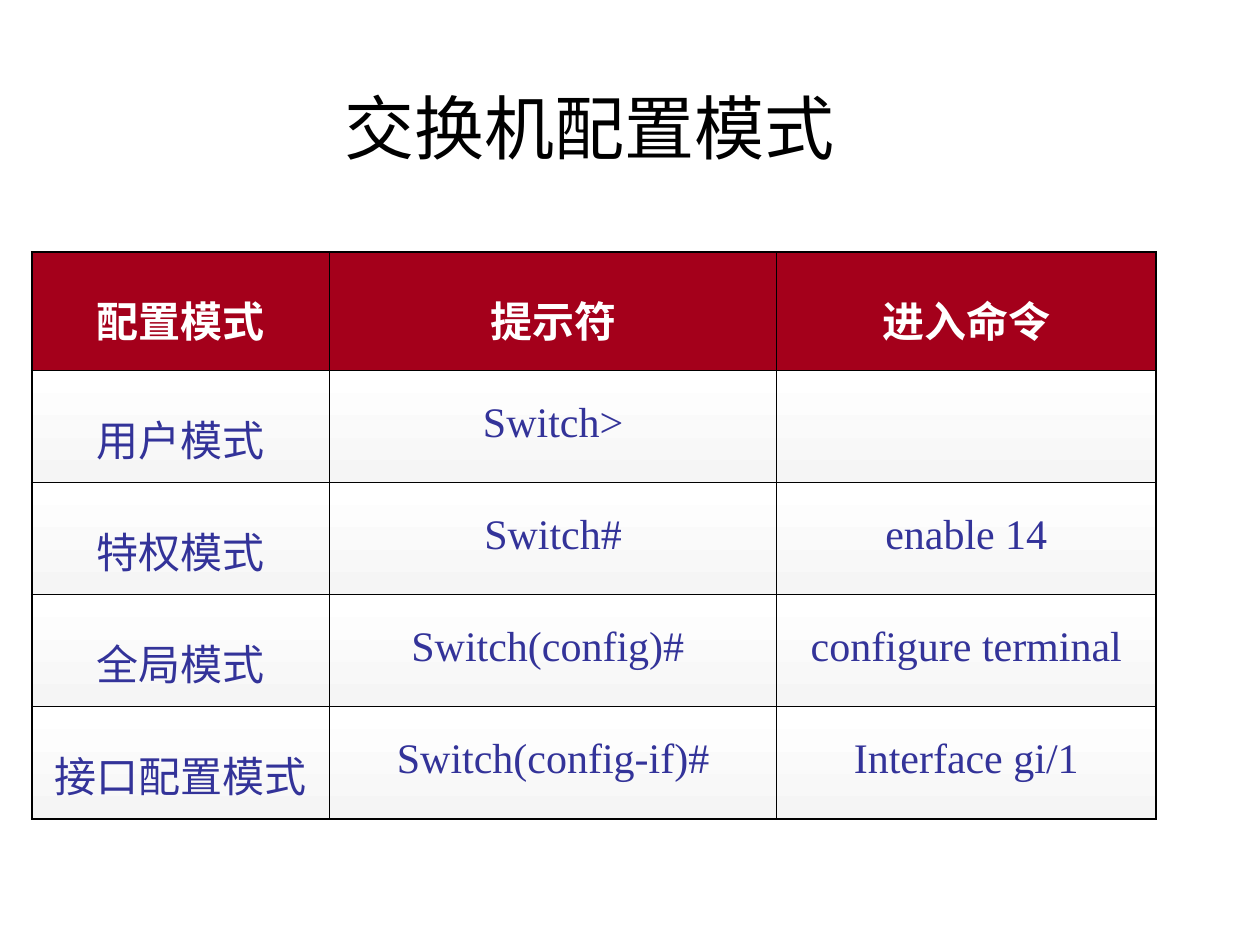
from dataclasses import dataclass

import lxml.etree
import pptx
import pptx.dml.color
import pptx.enum.text
import pptx.oxml.ns
import pptx.util

Cm = pptx.util.Cm
Pt = pptx.util.Pt
Color = pptx.dml.color.RGBColor
qn = pptx.oxml.ns.qn

BLACK = Color(0x00, 0x00, 0x00)
WHITE = Color(0xFF, 0xFF, 0xFF)
RED = Color(0xA4, 0x00, 0x1B)
BLUE = Color(0x33, 0x33, 0x99)
GRAY = Color(0xF5, 0xF5, 0xF5)
THIN, THICK = Pt(0.45), Pt(1.08)


@dataclass
class Mode:
    name: str
    prompt: str
    command: str

    def texts(self) -> list[str]:
        return [self.name, self.prompt, self.command]


HEAD = Mode("配置模式", "提示符", "进入命令")
MODES = [
    Mode("用户模式", "Switch>", ""),
    Mode("特权模式", "Switch#", "enable 14"),
    Mode("全局模式", "Switch(config)# ", "configure terminal"),
    Mode("接口配置模式", "Switch(config-if)#", "Interface gi/1"),
]
WIDTHS = [Cm(6), Cm(9.02), Cm(7.64)]
HEIGHTS = [Cm(2.39)] + [Cm(2.26)] * len(MODES)


def write(frame, text: str, *, size: float, face: str, color: Color,
          bold: bool = False, lines: float = 1.0, before: float = 0) -> None:
    para = frame.paragraphs[0]
    para.alignment = pptx.enum.text.PP_ALIGN.CENTER
    para.line_spacing = lines
    para.space_before = Pt(before)
    if text:
        run = para.add_run()
        run.text = text
        font = run.font
        font.size, font.name, font.bold = Pt(size), face, bold
        font.color.rgb = color


def border(cell, sides: dict[str, int]) -> None:
    props = cell._tc.get_or_add_tcPr()
    for spot, (side, width) in enumerate(sides.items()):
        line = lxml.etree.Element(qn(f"a:ln{side}"), w=str(int(width)))
        fill = lxml.etree.SubElement(line, qn("a:solidFill"))
        lxml.etree.SubElement(fill, qn("a:srgbClr"), val=str(BLACK))
        props.insert(spot, line)


def shade(cell, head: bool) -> None:
    if head:
        cell.fill.solid()
        cell.fill.fore_color.rgb = RED
        return
    cell.fill.gradient()
    cell.fill.gradient_angle = 270
    for stop, color, place in zip(cell.fill.gradient_stops, (WHITE, GRAY), (0, 1)):
        stop.color.rgb = color
        stop.position = place


def draw_title(slide) -> None:
    box = slide.shapes.add_textbox(Cm(1.47), Cm(1.47), Cm(20.83), Cm(2.16))
    frame = box.text_frame
    frame.word_wrap = True
    frame.vertical_anchor = pptx.enum.text.MSO_ANCHOR.MIDDLE
    write(frame, "交换机配置模式", size=40, face="Arial", color=BLACK)


def draw_table(slide) -> None:
    rows = [HEAD] + MODES
    table = slide.shapes.add_table(
        len(rows), len(WIDTHS), Cm(0.64), Cm(5.08), sum(WIDTHS), sum(HEIGHTS)).table
    table.first_row = table.horz_banding = False
    for column, width in zip(table.columns, WIDTHS):
        column.width = width
    for row, height in zip(table.rows, HEIGHTS):
        row.height = height
    for r, mode in enumerate(rows):
        head = r == 0
        for c, text in enumerate(mode.texts()):
            cell = table.cell(r, c)
            write(cell.text_frame, text, size=24, face="Times New Roman",
                  color=WHITE if head else BLUE, bold=head, lines=1.5, before=6)
            shade(cell, head)
            border(cell, {
                "L": THICK if c == 0 else THIN,
                "R": THICK if c == len(WIDTHS) - 1 else THIN,
                "T": THICK if head else THIN,
                "B": THICK if r == len(rows) - 1 else THIN,
            })


def main() -> None:
    deck = pptx.Presentation()
    deck.slide_width, deck.slide_height = Cm(25.4), Cm(19.05)
    slide = deck.slides.add_slide(deck.slide_layouts[6])
    draw_title(slide)
    draw_table(slide)
    deck.save("out.pptx")


if __name__ == "__main__":
    main()
